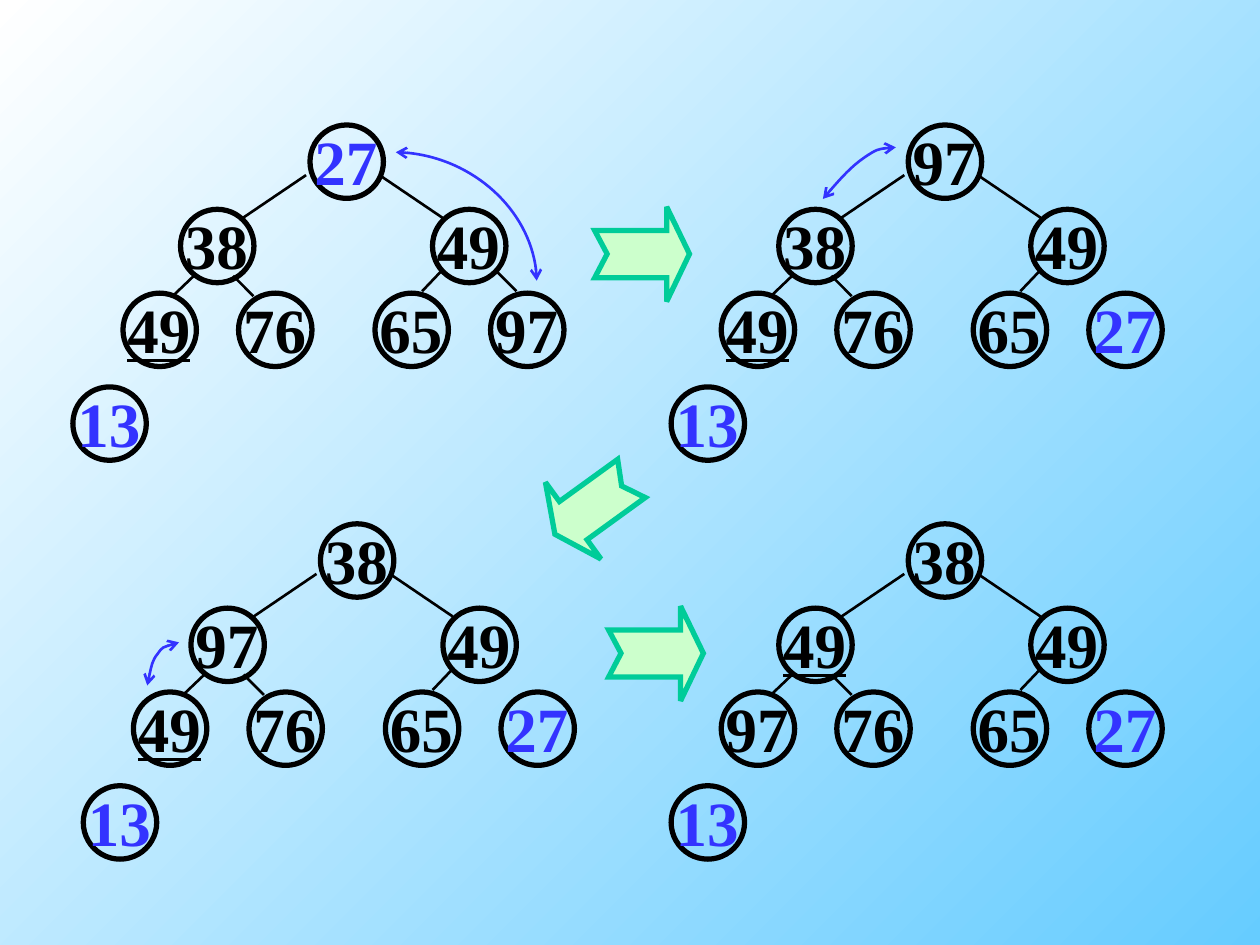
from lxml.etree import SubElement
from pptx import Presentation
from pptx.dml.color import RGBColor
from pptx.enum.shapes import MSO_CONNECTOR, MSO_SHAPE
from pptx.enum.text import MSO_AUTO_SIZE, PP_ALIGN
from pptx.oxml.ns import qn
from pptx.util import Cm, Pt

COLORS = {
    "ink": "000000",
    "settled": "3333FF",
    "step_fill": "CCFFCC",
    "step_line": "00CC99",
    "sky": "66CCFF",
    "white": "FFFFFF",
}
NODE_SIZE = 1.48
NODES = {
    "root": (6.25, 2.52),
    "left": (3.64, 4.22),
    "right": (8.72, 4.22),
    "left_left": (2.48, 5.91),
    "left_right": (4.81, 5.91),
    "right_left": (7.56, 5.91),
    "right_right": (9.89, 5.91),
    "removed": (1.47, 7.8),
}
EDGES = {
    "left": ((6.17, 3.53), (4.9, 4.39)),
    "right": ((7.65, 3.53), (8.92, 4.39)),
    "left_left": ((3.91, 5.56), (3.48, 5.97)),
    "left_right": ((4.7, 5.56), (5.11, 5.97)),
    "right_left": ((8.92, 5.44), (8.51, 5.87)),
    "right_right": ((9.98, 5.44), (10.41, 5.87)),
}
SETTLED = {"13", "27"}
HEAPS = [
    ((0, 0), "27 38 49 49 76 65 97 13", "left_left"),
    ((12.06, 0), "97 38 49 49 76 65 27 13", "left_left"),
    ((0.21, 8.04), "38 97 49 49 76 65 27 13", "left_left"),
    ((12.06, 8.04), "38 49 49 97 76 65 27 13", "left"),
]
STEP_OUTLINE = [(0, 0.48), (1.45, 0.48), (1.45, 0), (1.91, 0.95),
                (1.45, 1.91), (1.45, 1.43), (0, 1.43), (0.25, 0.95)]
STEPS = [((11.99, 4.17), 0), ((12.27, 12.22), 0), ((11, 9.25), 144.1)]
SWAPS = [
    [(18.06, 2.97), (17.86, 2.97), (17.68, 3), (17.42, 3.18),
     (17.17, 3.35), (16.87, 3.68), (16.59, 4.01)],
    [(3.61, 12.95), (3.43, 13), (3.28, 13.03), (3.18, 13.18),
     (3.07, 13.31), (3.02, 13.56), (2.97, 13.82)],
]


class HeapSlide:
    label_format = {"name": "Times New Roman", "size": Pt(36), "bold": True}

    def __init__(self, slide):
        self.slide = slide
        self.shapes = slide.shapes

    def color(self, name):
        return RGBColor.from_string(COLORS[name])

    def background(self, start, end, angle):
        fill = self.slide.background.fill
        fill.gradient()
        fill.gradient_angle = angle
        for stop, name in zip(fill.gradient_stops, (start, end)):
            stop.color.rgb = self.color(name)

    def outline(self, shape, name, width):
        shape.line.color.rgb = self.color(name)
        shape.line.width = Pt(width)

    def double_head(self, shape):
        ln = shape.line._get_or_add_ln()
        for end in ("a:headEnd", "a:tailEnd"):
            SubElement(ln, qn(end), type="arrow")

    def connector(self, kind, start, end, name):
        link = self.shapes.add_connector(kind, *map(Cm, start + end))
        self.outline(link, name, 1.5)
        SubElement(link._element.spPr, qn("a:effectLst"))
        return link

    def freeform(self, points, closed):
        vertices = [(Cm(x), Cm(y)) for x, y in points]
        builder = self.shapes.build_freeform(*vertices[0])
        builder.add_line_segments(vertices[1:], close=closed)
        shape = builder.convert_to_shape()
        shape.shadow.inherit = False
        return shape

    def node(self, x, y, value, underlined):
        ring = self.shapes.add_shape(
            MSO_SHAPE.OVAL, Cm(x), Cm(y), Cm(NODE_SIZE), Cm(NODE_SIZE))
        ring.shadow.inherit = False
        ring.fill.background()
        self.outline(ring, "ink", 3)
        label = self.shapes.add_textbox(
            Cm(x + 0.09), Cm(y - 0.05), Cm(1.27), Cm(1.52))
        frame = label.text_frame
        frame_format = {"margin_left": 0, "margin_right": 0, "margin_top": 0,
                        "margin_bottom": 0, "word_wrap": False,
                        "auto_size": MSO_AUTO_SIZE.SHAPE_TO_FIT_TEXT}
        for key, setting in frame_format.items():
            setattr(frame, key, setting)
        paragraph = frame.paragraphs[0]
        paragraph.alignment = PP_ALIGN.CENTER
        run = paragraph.add_run()
        run.text = value
        for key, setting in self.label_format.items():
            setattr(run.font, key, setting)
        if underlined:
            run.font.underline = True
        run.font.color.rgb = self.color("settled" if value in SETTLED else "ink")

    def heap(self, origin, values, underlined):
        dx, dy = origin
        for (place, (x, y)), value in zip(NODES.items(), values.split()):
            self.node(x + dx, y + dy, value, place == underlined)
            if place in EDGES and value not in SETTLED:
                start, end = [(px + dx, py + dy) for px, py in EDGES[place]]
                self.connector(MSO_CONNECTOR.STRAIGHT, start, end, "ink")

    def step(self, corner, rotation):
        left, top = corner
        arrow = self.freeform([(left + x, top + y) for x, y in STEP_OUTLINE], True)
        arrow.rotation = rotation
        arrow.fill.solid()
        arrow.fill.fore_color.rgb = self.color("step_fill")
        self.outline(arrow, "step_line", 3)
        SubElement(arrow.line._get_or_add_ln(), qn("a:miter"), lim="800000")

    def swap(self, points):
        curve = self.freeform(points, False)
        curve.fill.background()
        self.outline(curve, "settled", 1.5)
        self.double_head(curve)
        route = curve._element.find(".//" + qn("a:path"))
        segments = route.findall(qn("a:lnTo"))
        for first in range(0, len(segments), 3):
            bezier = SubElement(route, qn("a:cubicBezTo"))
            for segment in segments[first:first + 3]:
                bezier.append(segment[0])
                route.remove(segment)

    def quarter_swap(self, start, end):
        arc = self.connector(MSO_CONNECTOR.CURVE, start, end, "settled")
        arc._element.spPr.find(qn("a:prstGeom")).set("prst", "curvedConnector2")
        self.double_head(arc)


def main():
    deck = Presentation()
    deck.slide_width, deck.slide_height = Cm(25.4), Cm(19.05)
    heaps = HeapSlide(deck.slides.add_slide(deck.slide_layouts[6]))
    heaps.background("sky", "white", 135)
    for origin, values, underlined in HEAPS:
        heaps.heap(origin, values, underlined)
    for corner, rotation in STEPS:
        heaps.step(corner, rotation)
    heaps.quarter_swap((7.98, 3.07), (10.82, 5.66))
    for points in SWAPS:
        heaps.swap(points)
    deck.save("out.pptx")


if __name__ == "__main__":
    main()
